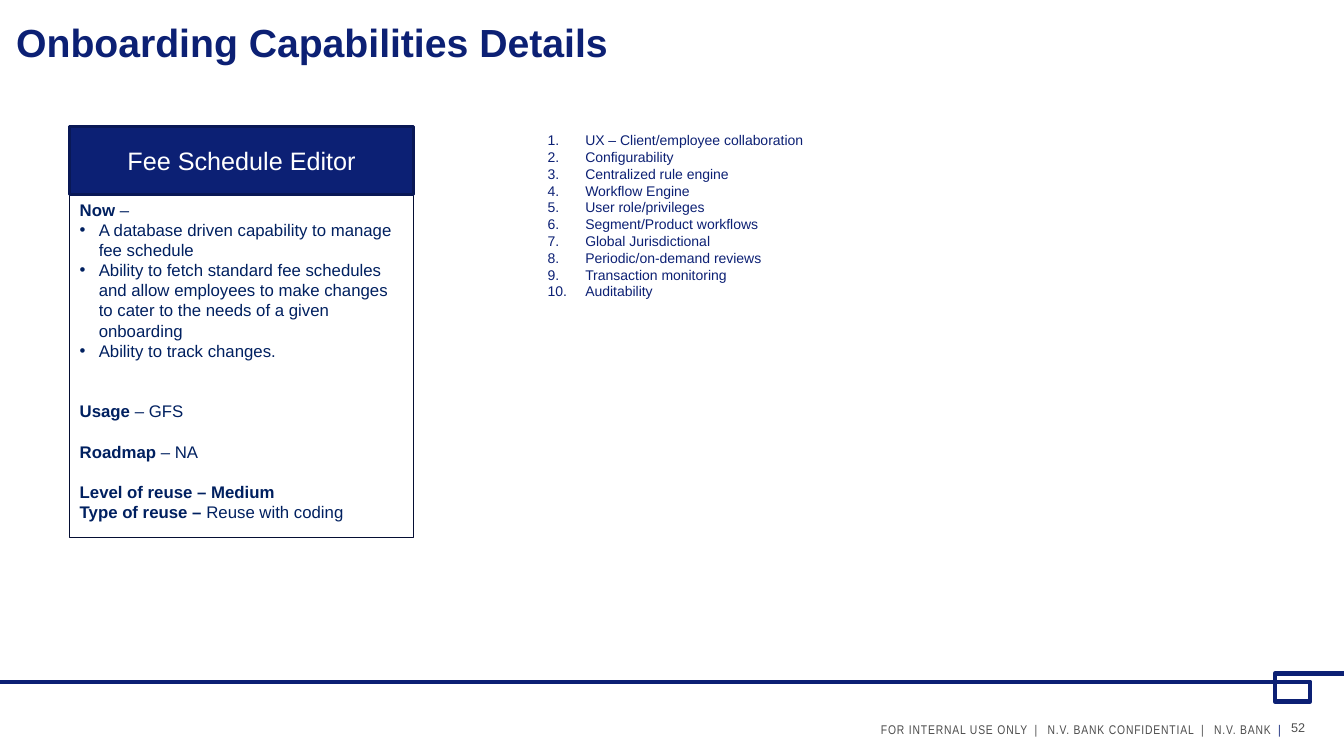
from lxml import etree
from pptx import Presentation
from pptx.dml.color import RGBColor
from pptx.enum.shapes import MSO_SHAPE as SHAPE
from pptx.enum.text import MSO_ANCHOR as ANCHOR, PP_ALIGN as ALIGN
from pptx.oxml.ns import qn
from pptx.util import Cm, Pt

COLORS = {"navy": "0C2074", "ink": "002060", "edge": "050E33", "header edge": "091856",
          "gray": "4D4D4D", "white": "FFFFFF"}


def fill_text(shape, paragraphs, size, color, font="Arial", align=ALIGN.LEFT,
              anchor=ANCHOR.TOP, inset=None):
    frame = shape.text_frame
    settings = {"word_wrap": True, "vertical_anchor": anchor}
    if inset is not None:
        for side in ("left", "right", "top", "bottom"):
            settings["margin_" + side] = Cm(inset)
    for name, value in settings.items():
        setattr(frame, name, value)
    for index, (space, runs) in enumerate(paragraphs):
        paragraph = frame.add_paragraph() if index else frame.paragraphs[0]
        for name, value in {"alignment": align, "space_before": Pt(space)}.items():
            setattr(paragraph, name, value)
        for text, bold in runs:
            run = paragraph.add_run()
            run.text = text
            for name, value in {"name": font, "size": Pt(size), "bold": bold}.items():
                setattr(run.font, name, value)
            run.font.color.rgb = RGBColor.from_string(COLORS[color])
    return frame.paragraphs


def add_bullet(paragraph, indent, tag, **attributes):
    properties = paragraph._p.get_or_add_pPr()
    properties.set("marL", str(Cm(indent)))
    properties.set("indent", str(-Cm(indent)))
    if tag == "a:buChar":
        etree.SubElement(properties, qn("a:buFont"), typeface="Arial")
    etree.SubElement(properties, qn(tag), **attributes)


presentation = Presentation()
presentation.slide_width, presentation.slide_height = Cm(33.87), Cm(19.05)
slide = presentation.slides.add_slide(presentation.slide_layouts[6])
shapes = slide.shapes

rule_points = [(33.87, 16.97), (32.13, 16.97), (32.13, 17.68), (33.02, 17.68),
               (33.02, 17.18), (0, 17.18)]
start, *corners = [(Cm(x), Cm(y)) for x, y in rule_points]
builder = shapes.build_freeform(*start)
builder.add_line_segments(corners, close=False)
footer_rule = builder.convert_to_shape()
card = shapes.add_shape(SHAPE.ROUNDED_RECTANGLE, Cm(1.76), Cm(4.9), Cm(8.66), Cm(8.65))
header = shapes.add_shape(SHAPE.ROUND_2_SAME_RECTANGLE, Cm(1.76), Cm(3.19), Cm(8.66), Cm(1.71))

for shape, fill, line, width in [(footer_rule, None, "navy", 3), (card, None, "edge", 0.75),
                                 (header, "navy", "header edge", 2)]:
    shape.shadow.inherit = False
    for index in range(len(shape.adjustments)):
        shape.adjustments[index] = 0
    if fill:
        shape.fill.solid()
        shape.fill.fore_color.rgb = RGBColor.from_string(COLORS[fill])
    else:
        shape.fill.background()
    shape.line.width = Pt(width)
    shape.line.color.rgb = RGBColor.from_string(COLORS[line])

title = shapes.add_textbox(Cm(0.41), Cm(0.23), Cm(30.48), Cm(1.42))
fill_text(title, [(0, [("Onboarding Capabilities Details", True)])], 28, "navy",
          anchor=ANCHOR.BOTTOM, inset=0)

fill_text(header, [(0, [("Fee Schedule Editor", False)])], 18, "white",
          align=ALIGN.CENTER, anchor=ANCHOR.MIDDLE)

card_paragraphs = fill_text(card, [
    (0, [("Now", True), (" –", False)]),
    (0, [("A database driven capability to manage fee schedule", False)]),
    (0, [("Ability to fetch standard fee schedules and allow employees to make changes "
          "to cater to the needs of a given onboarding", False)]),
    (0, [("Ability to track changes.", False)]),
    (28.8, [("Usage", True), (" – GFS", False)]),
    (14.4, [("Roadmap", True), (" – NA", False)]),
    (14.4, [("Level of reuse – Medium", True)]),
    (0, [("Type of reuse – ", True), ("Reuse with coding", False)]),
], 12, "ink")
for paragraph in card_paragraphs[1:4]:
    add_bullet(paragraph, 0.48, "a:buChar", char="•")

capabilities = [
    "UX – Client/employee collaboration", "Configurability", "Centralized rule engine",
    "Workflow Engine", "User role/privileges", "Segment/Product workflows",
    "Global Jurisdictional", "Periodic/on-demand reviews", "Transaction monitoring",
    "Auditability",
]
capability_list = shapes.add_textbox(Cm(13.55), Cm(3.19), Cm(7.65), Cm(4.52))
for paragraph in fill_text(capability_list, [(0, [(text, False)]) for text in capabilities],
                           10, "navy"):
    add_bullet(paragraph, 0.95, "a:buAutoNum", type="arabicPeriod")

footer = shapes.add_textbox(Cm(5.36), Cm(18.06), Cm(26.92), Cm(0.51))
footer_runs = ["FOR INTERNAL USE ONLY", " | ", "N.V. BANK CONFIDENTIAL", " | ", "N.V. BANK", " |"]
footer_line = fill_text(footer, [(0, [(text, False) for text in footer_runs])], 9, "gray",
                        "Arial Narrow", ALIGN.RIGHT, ANCHOR.BOTTOM, 0)[0]
for run in footer_line.runs:
    run.font._element.set("spc", "260" if "|" in run.text else "60")
footer_line.runs[-1].font.color.rgb = RGBColor.from_string(COLORS["navy"])

page_number = shapes.add_textbox(Cm(32.54), Cm(18.05), Cm(1.32), Cm(0.48))
fill_text(page_number, [(0, [("52", False)])], 9, "gray", anchor=ANCHOR.BOTTOM, inset=0)

presentation.save("out.pptx")
